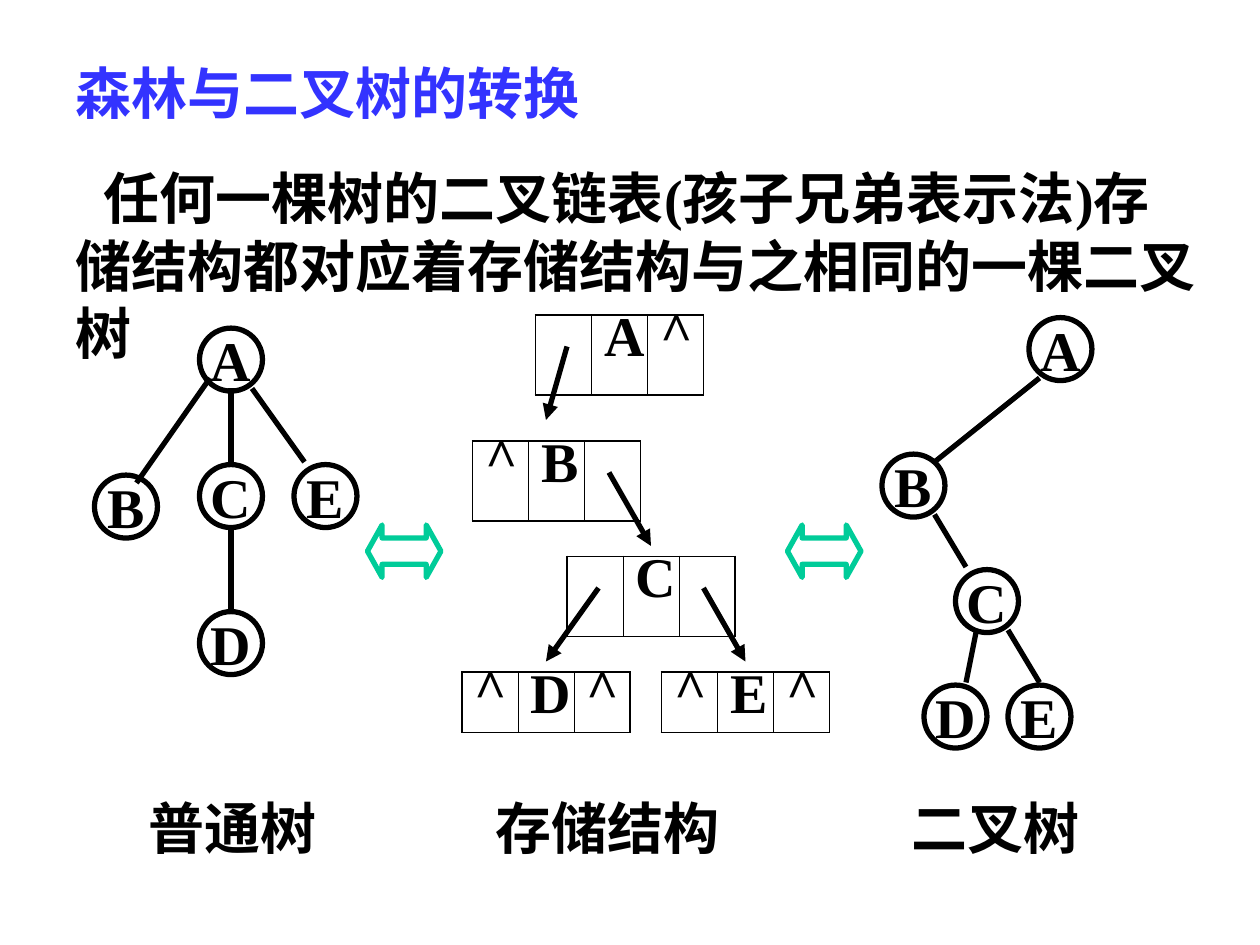
from lxml.etree import SubElement
from pptx import Presentation
from pptx.dml.color import RGBColor
from pptx.enum.shapes import MSO_CONNECTOR, MSO_SHAPE
from pptx.enum.text import MSO_ANCHOR, MSO_AUTO_SIZE, PP_ALIGN
from pptx.oxml.ns import qn
from pptx.util import Inches, Pt

BLACK = RGBColor(0, 0, 0)
BLUE = RGBColor(0x33, 0x33, 0xFF)
GREEN = RGBColor(0, 0xCC, 0x99)

FONT = {"name": "Times New Roman", "size": Pt(32), "bold": True}
FLAT = {"margin_left": 0, "margin_right": 0, "margin_top": 0,
        "margin_bottom": 0, "word_wrap": False,
        "vertical_anchor": MSO_ANCHOR.MIDDLE}
BLOCK = {"word_wrap": True, "auto_size": MSO_AUTO_SIZE.NONE,
         "vertical_anchor": MSO_ANCHOR.TOP}
LEFT = {"alignment": PP_ALIGN.LEFT, "space_before": Pt(0)}
MID = {"alignment": PP_ALIGN.CENTER}
PLAIN = {"first_row": False, "horz_banding": False}

NODE = 6
CELL = 5.33
LIFT = 1.25
THICK, THIN = 1.08, 0.45

TITLE = "森林与二叉树的转换"
BODY = ("任何一棵树的二叉链表(孩子兄弟表示法)存储结构都对应着"
        "存储结构与之相同的一棵二叉树")
TREE = [("A", 19, 30), ("B", 9, 44), ("C", 19, 43), ("E", 28, 43),
        ("D", 19, 57)]
TREE_LINKS = [(20, 36, 13, 46), (22, 37, 24 + 5, 44), (22, 50, 22, 58),
              (22, 37, 22, 44)]
TREE_LINKS[1] = (24, 37, 29, 44)
BINARY = [("A", 98, 29), ("B", 84, 42), ("C", 91, 53), ("D", 88, 64),
          ("E", 96, 64)]
BINARY_LINKS = [(99, 36, 89, 44), (89, 49, 92, 54), (93, 60, 92, 65),
                (96, 60, 99, 65)]
STORE = [(" A^", 51, 30, 7.62), ("^B ", 45, 42, 7.62),
         (" C ", 54, 53, 7.62), ("^D^", 44, 64, 5.76),
         ("^E^", 63, 64, 5.76)]
POINTERS = [(54, 33, 52, 40), (58, 45, 62, 52), (57, 56, 52, 63),
            (67, 56, 71, 63)]
CAPTIONS = [("普通树", 13), ("存储结构", 46), ("二叉树", 85.6)]


def grid(*units):
    return [Inches(unit / 12) for unit in units]


def apply(thing, *looks):
    for look in looks:
        for key, value in look.items():
            setattr(thing, key, value)


def write(frame, text, color, look):
    frame.text = text
    para = frame.paragraphs[0]
    apply(para, look)
    apply(para.font, FONT)
    para.font.color.rgb = color
    return para


def holder(shape, text, color, box):
    apply(shape, dict(zip(("left", "top", "width", "height"), grid(*box))))
    apply(shape.text_frame, BLOCK)
    return write(shape.text_frame, text, color, LEFT)


def outline(shape, color):
    shape.shadow.inherit = False
    shape.fill.background()
    shape.line.color.rgb = color
    shape.line.width = Pt(3)


def node(shapes, name, col, row):
    ring = shapes.add_shape(MSO_SHAPE.OVAL,
                            *grid(col, row + LIFT, NODE, NODE))
    outline(ring, BLACK)
    apply(ring.text_frame, FLAT)
    write(ring.text_frame, name, BLACK, MID)


def link(shapes, ends, arrow=False):
    line = shapes.add_connector(MSO_CONNECTOR.STRAIGHT, *grid(*ends))
    line.line.color.rgb = BLACK
    line.line.width = Pt(3)
    if arrow:
        SubElement(line.line._get_or_add_ln(), qn("a:tailEnd"),
                   type="triangle")
    SubElement(line._element.spPr, qn("a:effectLst"))


def border(cell, widths):
    props = cell._tc.get_or_add_tcPr()
    for side, width in zip("LRTB", widths):
        edge = SubElement(props, qn(f"a:ln{side}"), w=str(Pt(width)))
        fill = SubElement(edge, qn("a:solidFill"))
        SubElement(fill, qn("a:srgbClr"), val=str(BLACK))


def record(shapes, marks, col, row, tall):
    count = len(marks)
    box = grid(col, row, CELL * count, tall)
    table = shapes.add_table(1, count, *box).table
    apply(table, PLAIN)
    for pos, mark in enumerate(marks):
        cell = table.cell(0, pos)
        border(cell, (THIN if pos else THICK,
                      THIN if pos < count - 1 else THICK, THICK, THICK))
        cell.fill.background()
        if mark != " ":
            look = {"line_spacing": 0.6 if mark == "^" else 0.7}
            write(cell.text_frame, mark, BLACK, look)


def swap(shapes, col):
    arrow = shapes.add_shape(MSO_SHAPE.LEFT_RIGHT_ARROW,
                             *grid(col, 50, 7, 5))
    arrow.adjustments[1] = 0.28
    outline(arrow, GREEN)


def caption(shapes, text, col):
    box = shapes.add_textbox(*grid(col, 75, 24, 7.7))
    box.text_frame.word_wrap = True
    write(box.text_frame, text, BLACK, LEFT)


def main():
    deck = Presentation()
    deck.slide_width, deck.slide_height = grid(120, 90)
    slide = deck.slides.add_slide(deck.slide_layouts[1])
    shapes = slide.shapes
    holder(shapes.title, TITLE, BLUE, (6, 5, 110, 8))
    para = holder(slide.placeholders[1], BODY, BLACK, (6, 15, 110, 20))
    props = para._p.get_or_add_pPr()
    props.set("marL", "0")
    props.set("indent", str(Inches(0.22)))
    SubElement(props, qn("a:buNone"))
    apply(para.font, FONT)
    para.font.color.rgb = BLACK
    for item in TREE + BINARY:
        node(shapes, *item)
    for ends in TREE_LINKS + BINARY_LINKS:
        link(shapes, ends)
    for item in STORE:
        record(shapes, *item)
    for ends in POINTERS:
        link(shapes, ends, True)
    for col in (35, 75):
        swap(shapes, col)
    for item in CAPTIONS:
        caption(shapes, *item)
    deck.save("out.pptx")


if __name__ == "__main__":
    main()
